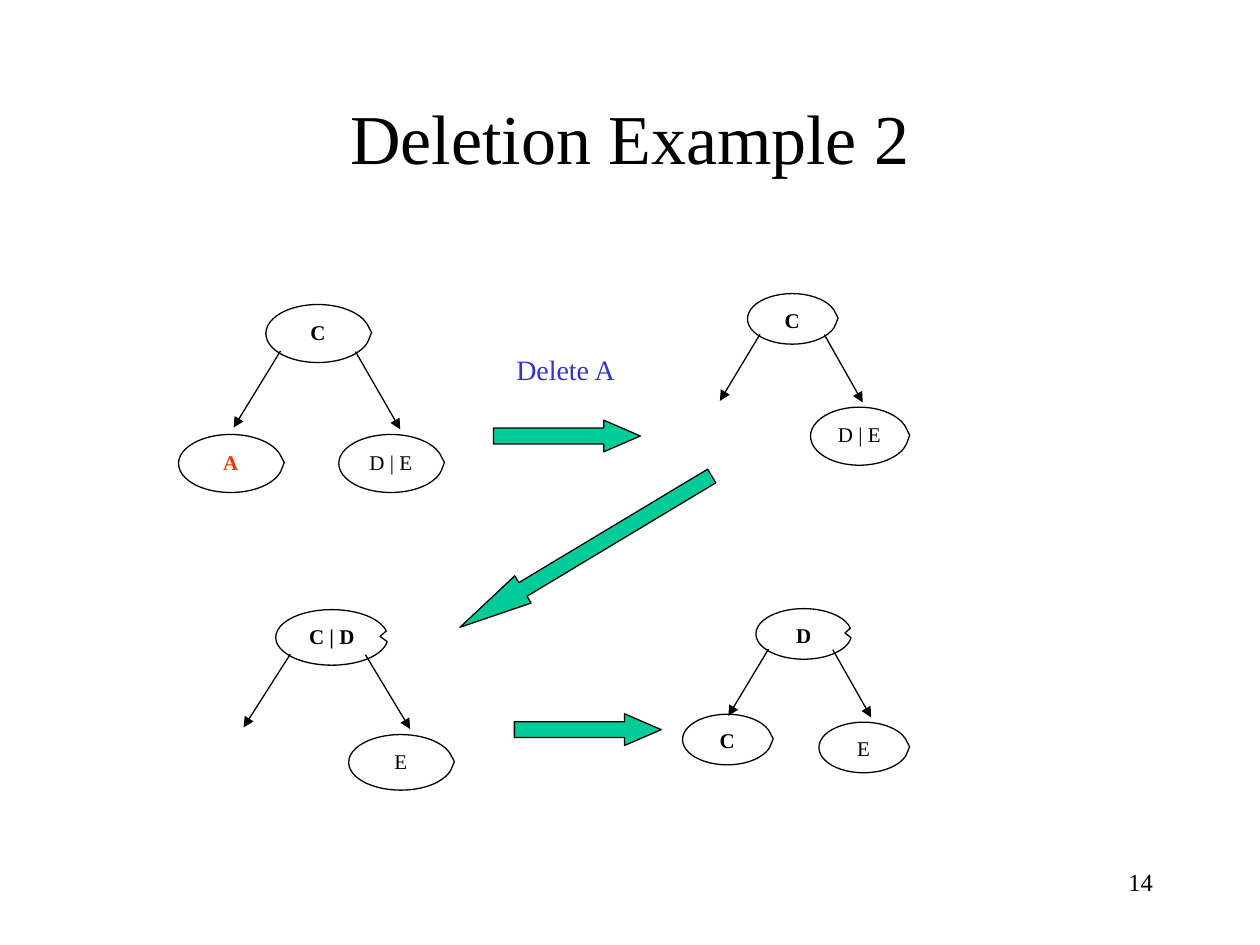
from lxml.etree import SubElement
from pptx import Presentation
from pptx.dml.color import RGBColor as RGB
from pptx.enum.shapes import MSO_CONNECTOR as Link, MSO_SHAPE as Form
from pptx.enum.text import MSO_ANCHOR as Anchor, PP_ALIGN as Align
from pptx.oxml.ns import qn
from pptx.util import Cm, Pt

BLACK = RGB(0x00, 0x00, 0x00)
WHITE = RGB(0xFF, 0xFF, 0xFF)
RED = RGB(0xFF, 0x33, 0x00)
BLUE = RGB(0x33, 0x33, 0xCC)
GREEN = RGB(0x00, 0xCC, 0x99)
FONT = "Times New Roman"
ROUND = (0.515, -0.016)
NOTCH = (0.43, -0.017)
EDGES = [((0.14, 0.8), (-0.31, 2.12)), ((0.86, 0.81), (1.29, 2.15))]


def write(frame, text, size, color=BLACK, bold=False, align=Align.CENTER):
    """Put one formatted run into the first paragraph of a frame."""
    para = frame.paragraphs[0]
    para.alignment = align
    run = para.add_run()
    run.text = text
    font = run.font
    font.name, font.size, font.bold = FONT, Pt(size), bold
    font.color.rgb = color


def paint(shape, fill):
    """Give a shape a flat fill and a thin black outline."""
    shape.shadow.inherit = False
    shape.fill.solid()
    shape.fill.fore_color.rgb = fill
    shape.line.color.rgb = BLACK
    shape.line.width = Pt(0.75)


def node(shapes, box, text, bold=False, color=BLACK, tip=ROUND):
    """Draw one labelled tree node in a box of centimetres."""
    shape = shapes.add_shape(Form.OVAL_CALLOUT, *map(Cm, box))
    shape.adjustments[0], shape.adjustments[1] = tip
    paint(shape, WHITE)
    frame = shape.text_frame
    frame.vertical_anchor = Anchor.TOP
    write(frame, text, 12, color, bold)


def edge(shapes, start, end):
    """Draw a thin line with an arrowhead at its end."""
    line = shapes.add_connector(Link.STRAIGHT, *map(Cm, (*start, *end)))
    line.line.color.rgb = BLACK
    line.line.width = Pt(0.75)
    SubElement(line.line._get_or_add_ln(), qn("a:tailEnd"), type="triangle")
    SubElement(line._element.spPr, qn("a:effectLst"))


def tree(shapes, box, root, kids, wide=None, tip=ROUND):
    """Draw a root, its children and both edges, scaled to the root box."""
    left, top, width, high = box
    node(shapes, (left, top, wide or width, high), root, True, tip=tip)
    for right, down, size, text, *style in kids:
        place = (left + right, top + down, *(size or (width, high)))
        node(shapes, place, text, *style)
    for ends in EDGES:
        edge(shapes, *((left + x * width, top + y * high) for x, y in ends))


def arrow(shapes, box, turn=0):
    """Draw a green step arrow whose head is a quarter of its length."""
    shape = shapes.add_shape(Form.RIGHT_ARROW, *map(Cm, box))
    shape.adjustments[0] = 0.5
    shape.adjustments[1] = box[2] / box[3] / 4
    shape.rotation = turn
    paint(shape, GREEN)


def label(shapes, box, text, size, color, align, wrap):
    """Add a line of free text."""
    frame = shapes.add_textbox(*map(Cm, box)).text_frame
    frame.word_wrap = wrap
    write(frame, text, size, color, align=align)


def head(title, box, text):
    """Place and fill the title placeholder."""
    title.left, title.top, title.width, title.height = map(Cm, box)
    title.text_frame.vertical_anchor = Anchor.MIDDLE
    write(title.text_frame, text, 40)


def main():
    """Build the slide and save it."""
    deck = Presentation()
    deck.slide_width, deck.slide_height = Cm(25.4), Cm(19.05)
    slide = deck.slides.add_slide(deck.slide_layouts[5])
    shapes = slide.shapes
    head(shapes.title, (1.9, 1.7, 21.6, 2.12), "Deletion Example 2")
    label(shapes, (18.21, 17.35, 5.28, 1.27), "14", 14, BLACK, Align.RIGHT, True)

    tree(shapes.add_group_shape().shapes, (5.36, 6.14, 2.1, 1.17), "C",
         [(1.47, 2.62, None, "D | E"), (-1.76, 2.62, None, "A", True, RED)])
    tree(shapes.add_group_shape().shapes, (15.07, 5.92, 1.8, 1.02), "C",
         [(1.27, 2.29, (1.97, 1.17), "D | E")])
    tree(shapes.add_group_shape().shapes, (5.56, 12.29, 2.1, 1.12), "C | D",
         [(1.47, 2.52, None, "E")], wide=2.26, tip=NOTCH)
    tree(shapes, (15.24, 12.27, 1.8, 1.02), "D",
         [(-1.48, 2.13, None, "C", True), (1.27, 2.29, None, "E")],
         wide=1.93, tip=NOTCH)

    arrow(shapes, (9.95, 8.47, 2.96, 0.64))
    label(shapes, (10.16, 6.98, 2.51, 0.94), "Delete A", 16, BLUE, Align.LEFT, False)
    arrow(shapes, (8.85, 10.8, 5.92, 0.64), 149)
    arrow(shapes, (10.37, 14.39, 2.96, 0.64))
    deck.save("out.pptx")


if __name__ == "__main__":
    main()
